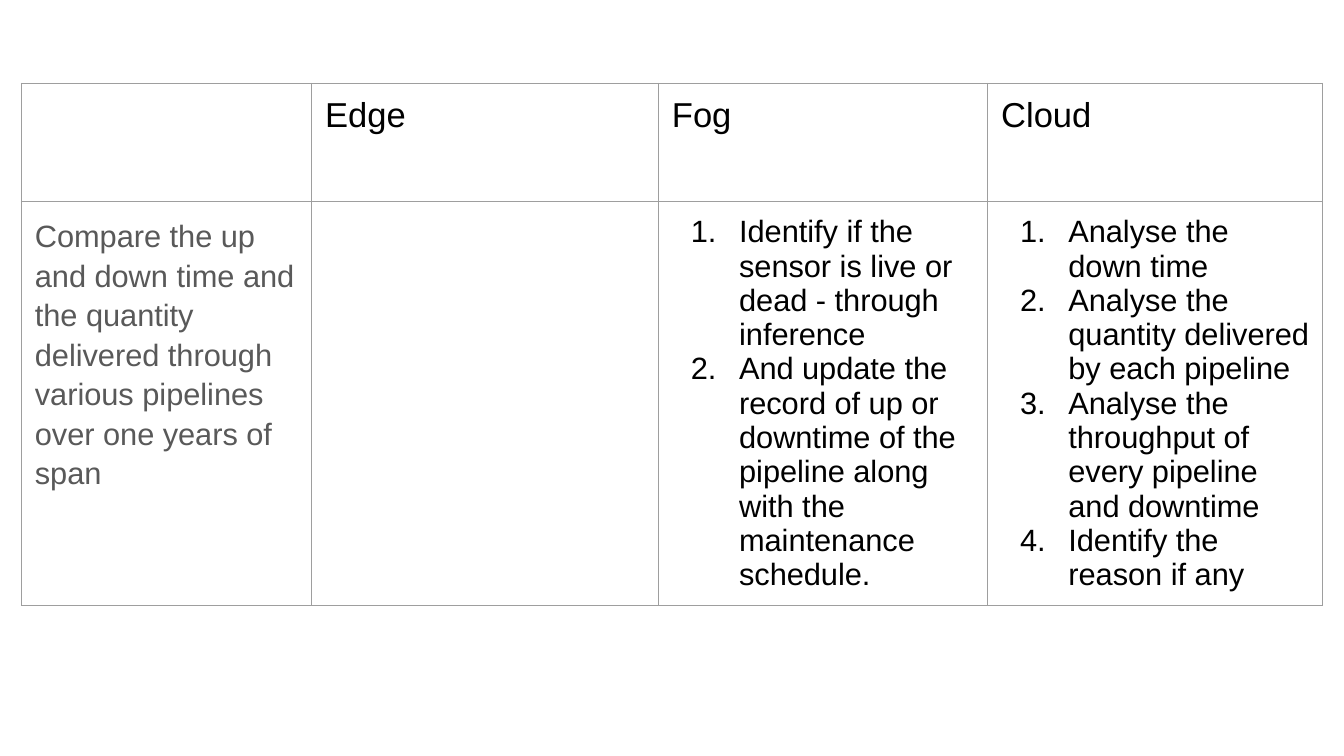
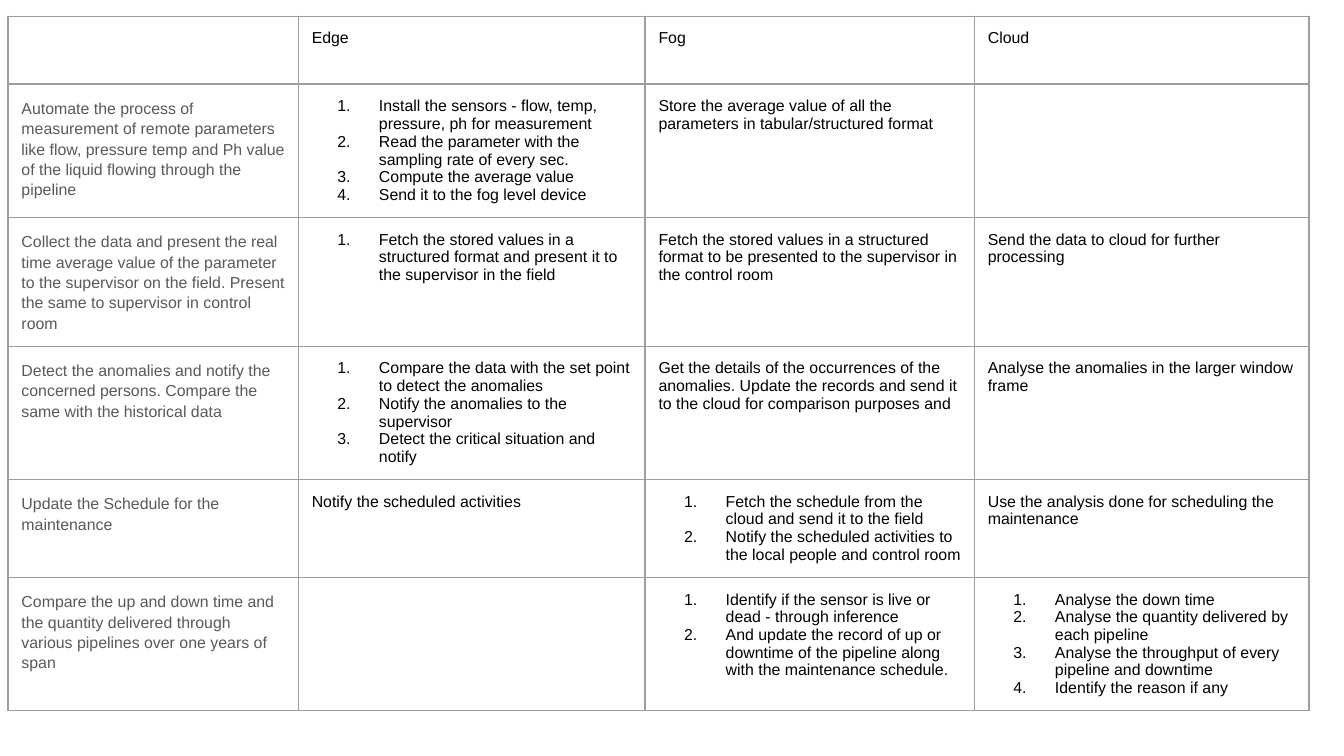
from lxml.etree import SubElement
from pptx import Presentation
from pptx.dml.color import RGBColor
from pptx.oxml.ns import qn
from pptx.util import Inches, Pt

UNIT = 0.1  # side of a grid square, in inches
BLACK, GREY, BORDER, WHITE = "000000", "595959", "9E9E9E", "FFFFFF"
COLUMN_WIDTHS = [21.6, 25.8, 24.5, 24.9]

# A string is plain text, a list is a numbered list.
HEADER = ["", "Edge", "Fog", "Cloud"]
AUTOMATE = [
    "Automate the process of measurement of remote parameters like flow, pressure temp "
    "and Ph value of the liquid flowing through the pipeline",
    ["Install the sensors - flow, temp, pressure, ph for measurement",
     "Read the parameter with the sampling rate of every sec.",
     "Compute the average value",
     "Send it to the fog level device"],
    "Store the average value of all the parameters in tabular/structured format",
    "",
]
COLLECT = [
    "Collect the data and present the real time average value of the parameter to the "
    "supervisor on the field. Present the same to supervisor in control room",
    ["Fetch the stored values in a structured format and present it to the supervisor "
     "in the field"],
    "Fetch the stored values in a structured format to be presented to the supervisor "
    "in the control room",
    "Send the data to cloud for further processing",
]
DETECT = [
    "Detect the anomalies and notify the concerned persons. Compare the same with the "
    "historical data",
    ["Compare the data with the set point to detect the anomalies",
     "Notify the anomalies to the supervisor",
     "Detect the critical situation and notify"],
    "Get the details of the occurrences of the anomalies. Update the records and send it "
    "to the cloud for comparison purposes and",
    "Analyse the anomalies in the larger window frame",
]
SCHEDULE = [
    "Update the Schedule for the maintenance",
    "Notify the scheduled activities",
    ["Fetch the schedule from the cloud and send it to the field",
     "Notify the scheduled activities to the local people and control room"],
    "Use the analysis done for scheduling the maintenance",
]
COMPARE = [
    "Compare the up and down time and the quantity delivered through various pipelines "
    "over one years of span",
    "",
    ["Identify if the sensor is live or dead - through inference",
     "And update the record of up or downtime of the pipeline along with the "
     "maintenance schedule."],
    ["Analyse the down time",
     "Analyse the quantity delivered by each pipeline",
     "Analyse the throughput of every pipeline and downtime",
     "Identify the reason if any"],
]


def rgb(color):
    return RGBColor.from_string(color)


def grid(squares):
    return Inches(squares * UNIT)


class Deck:
    font_name = "Arial"

    def __init__(self, columns, rows):
        self.presentation = Presentation()
        self.presentation.slide_width = grid(columns)
        self.presentation.slide_height = grid(rows)
        self.slide = None

    def add_slide(self):
        self.slide = self.presentation.slides.add_slide(self.presentation.slide_layouts[6])
        self.slide.background.fill.solid()
        self.slide.background.fill.fore_color.rgb = rgb(WHITE)

    def add_table(self, left, top, row_heights, rows, header_size, body_size, hanging):
        """Draw rows under a header; hanging is the outdent of list numbers in squares."""
        frame = self.slide.shapes.add_table(
            len(rows), len(COLUMN_WIDTHS), grid(left), grid(top),
            grid(sum(COLUMN_WIDTHS)), grid(sum(row_heights)))
        table = frame.table
        table.first_row = table.horz_banding = False
        for column, width in zip(table.columns, COLUMN_WIDTHS):
            column.width = grid(width)
        for row, height in zip(table.rows, row_heights):
            row.height = grid(height)
        for row_index, contents in enumerate(rows):
            size = body_size if row_index else header_size
            for column_index, content in enumerate(contents):
                cell = table.cell(row_index, column_index)
                self.style_cell(cell)
                if content:
                    self.fill_cell(cell, content, size, column_index == 0, hanging)

    def style_cell(self, cell):
        cell.margin_left = cell.margin_right = grid(1)
        cell.margin_top = cell.margin_bottom = grid(1)
        properties = cell._tc.get_or_add_tcPr()
        for side in ("lnL", "lnR", "lnT", "lnB"):
            line = SubElement(properties, qn(f"a:{side}"), w=str(Pt(0.75)))
            solid = SubElement(line, qn("a:solidFill"))
            SubElement(solid, qn("a:srgbClr"), val=BORDER)
        cell.fill.background()

    def fill_cell(self, cell, content, size, is_task, hanging):
        numbered = isinstance(content, list)
        text_frame = cell.text_frame
        text_frame.text = "\n".join(content) if numbered else content
        for paragraph in text_frame.paragraphs:
            if numbered:
                self.number(paragraph, hanging)
            if is_task:
                paragraph.line_spacing = 1.15
            font = paragraph.font
            font.name, font.size = self.font_name, Pt(size)
            font.color.rgb = rgb(GREY if is_task else BLACK)

    def number(self, paragraph, hanging):
        properties = paragraph._p.get_or_add_pPr()
        properties.set("marL", str(grid(5)))
        properties.set("indent", str(-grid(hanging)))
        color = SubElement(properties, qn("a:buClr"))
        SubElement(color, qn("a:srgbClr"), val=BLACK)
        SubElement(properties, qn("a:buFont"), typeface=self.font_name)
        SubElement(properties, qn("a:buAutoNum"), type="arabicPeriod")


def main():
    deck = Deck(columns=100, rows=56.25)

    deck.add_slide()
    deck.add_table(1.6, 6.2, [8.8, 8.8], [HEADER, COMPARE],
                   header_size=18.5, body_size=16.5, hanging=3.6)

    deck.add_slide()
    deck.add_table(0.6, 1.2, [2.3, 9.7, 7.4, 7.2, 6.7, 8.8],
                   [HEADER, AUTOMATE, COLLECT, DETECT, SCHEDULE, COMPARE],
                   header_size=8.5, body_size=8.5, hanging=3.1)

    deck.presentation.save("out.pptx")


if __name__ == "__main__":
    main()
